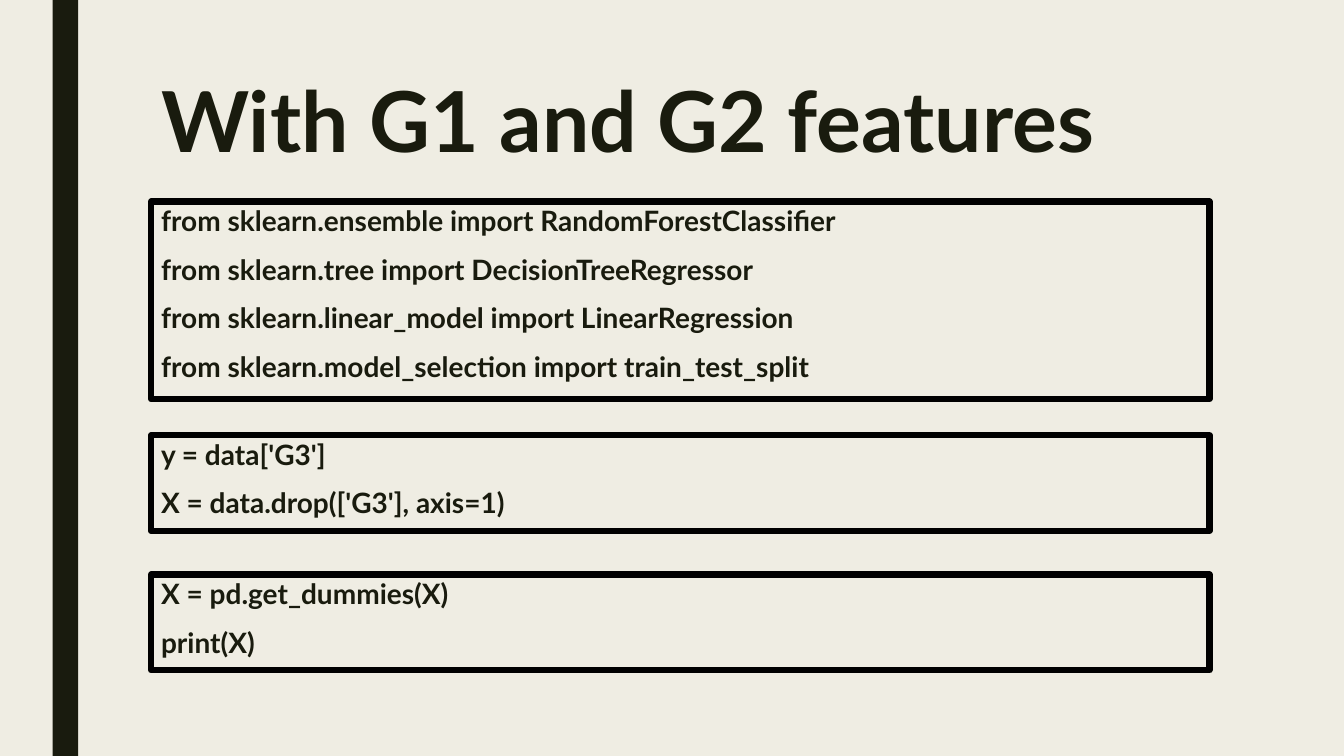
from pptx import Presentation
from pptx.dml.color import RGBColor
from pptx.enum import shapes, text
from pptx.util import Cm, Pt

COLORS = {"paper": "EFEDE3", "ink": "191B0E", "frame": "000000"}
LEFT, WIDTH = Cm(3.81), Cm(26.67)


def rgb(name):
    return RGBColor.from_string(COLORS[name])


def write(shape, lines, size, spacing, before=0, after=0):
    """Fill a shape with bold, top-left text, one paragraph per line."""
    frame = shape.text_frame
    frame.word_wrap = True
    frame.vertical_anchor = text.MSO_ANCHOR.TOP
    frame.text = "\n".join(lines)
    for para in frame.paragraphs:
        para.alignment = text.PP_ALIGN.LEFT
        para.line_spacing = spacing
        para.space_before, para.space_after = Pt(before), Pt(after)
        font = para.runs[0].font
        font.name, font.size, font.bold = "Lato", Pt(size), True
        font.color.rgb = rgb("ink")


deck = Presentation()
deck.slide_width, deck.slide_height = Cm(33.87), Cm(19.05)
slide = deck.slides.add_slide(deck.slide_layouts[6])
slide.background.fill.solid()
slide.background.fill.fore_color.rgb = rgb("paper")

RECT = shapes.MSO_SHAPE.RECTANGLE
bar = slide.shapes.add_shape(RECT, Cm(1.33), 0, Cm(0.64), deck.slide_height)
bar.shadow.inherit = False
bar.fill.solid()
bar.fill.fore_color.rgb = rgb("ink")
bar.line.fill.background()

title = slide.shapes.add_textbox(LEFT, Cm(1.9), WIDTH, Cm(2.06))
write(title, ["With G1 and G2 features"], 60, 0.89)

# Top and height in cm, then the code lines
blocks = [
    (5.08, 4.98, [
        "from sklearn.ensemble import RandomForestClassifier",
        "from sklearn.tree import DecisionTreeRegressor",
        "from sklearn.linear_model import LinearRegression",
        "from sklearn.model_selection import train_test_split",
    ]),
    (10.97, 2.41, ["y = data['G3']", "X = data.drop(['G3'], axis=1)"]),
    (14.48, 2.41, ["X = pd.get_dummies(X)", "print(X)"]),
]
for top, height, lines in blocks:
    box = slide.shapes.add_shape(RECT, LEFT, Cm(top), WIDTH, Cm(height))
    box.shadow.inherit = False
    box.fill.background()
    box.line.color.rgb = rgb("frame")
    box.line.width = Pt(4.5)
    write(box, lines, 20, 0.94, before=10, after=2)

deck.save("out.pptx")
